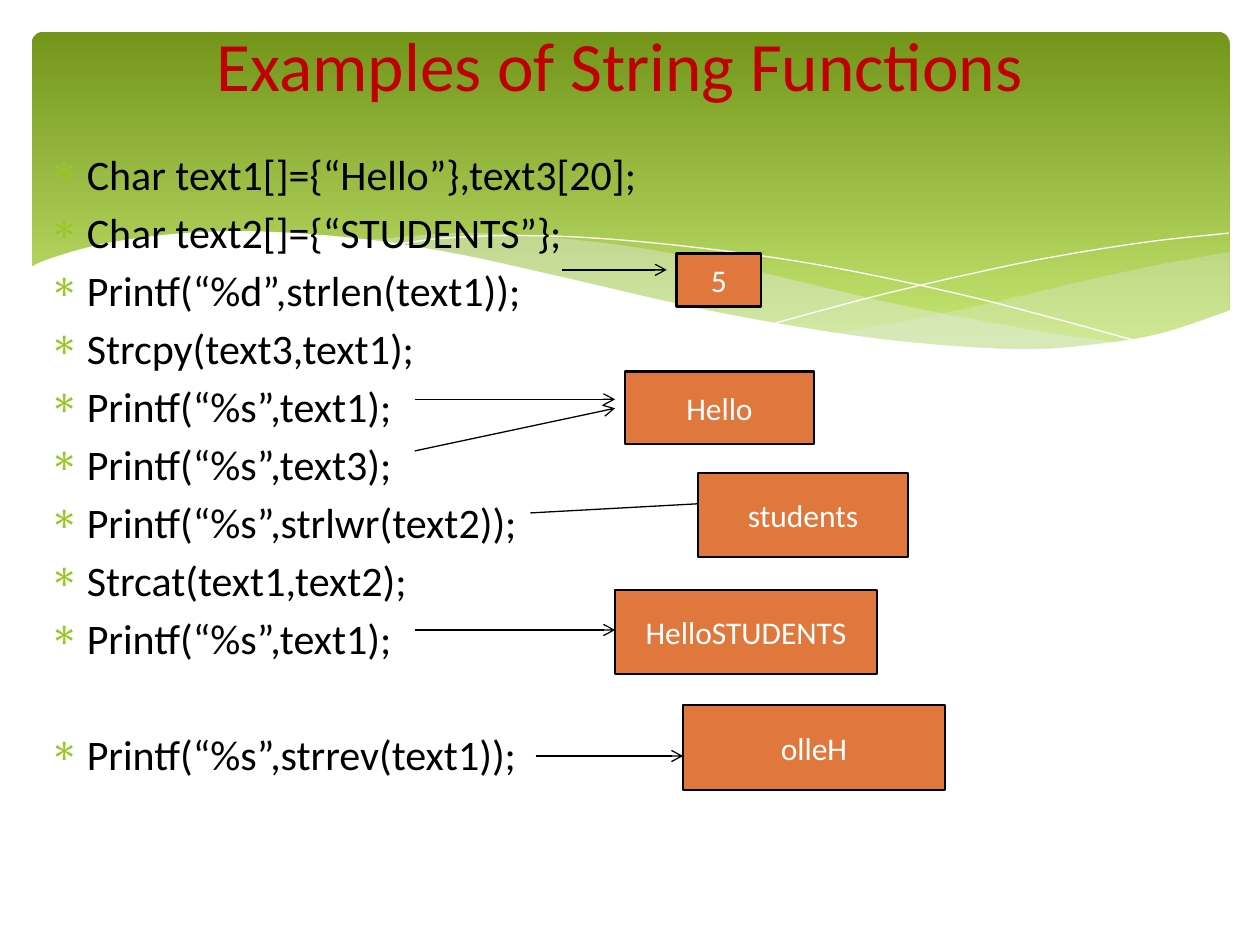
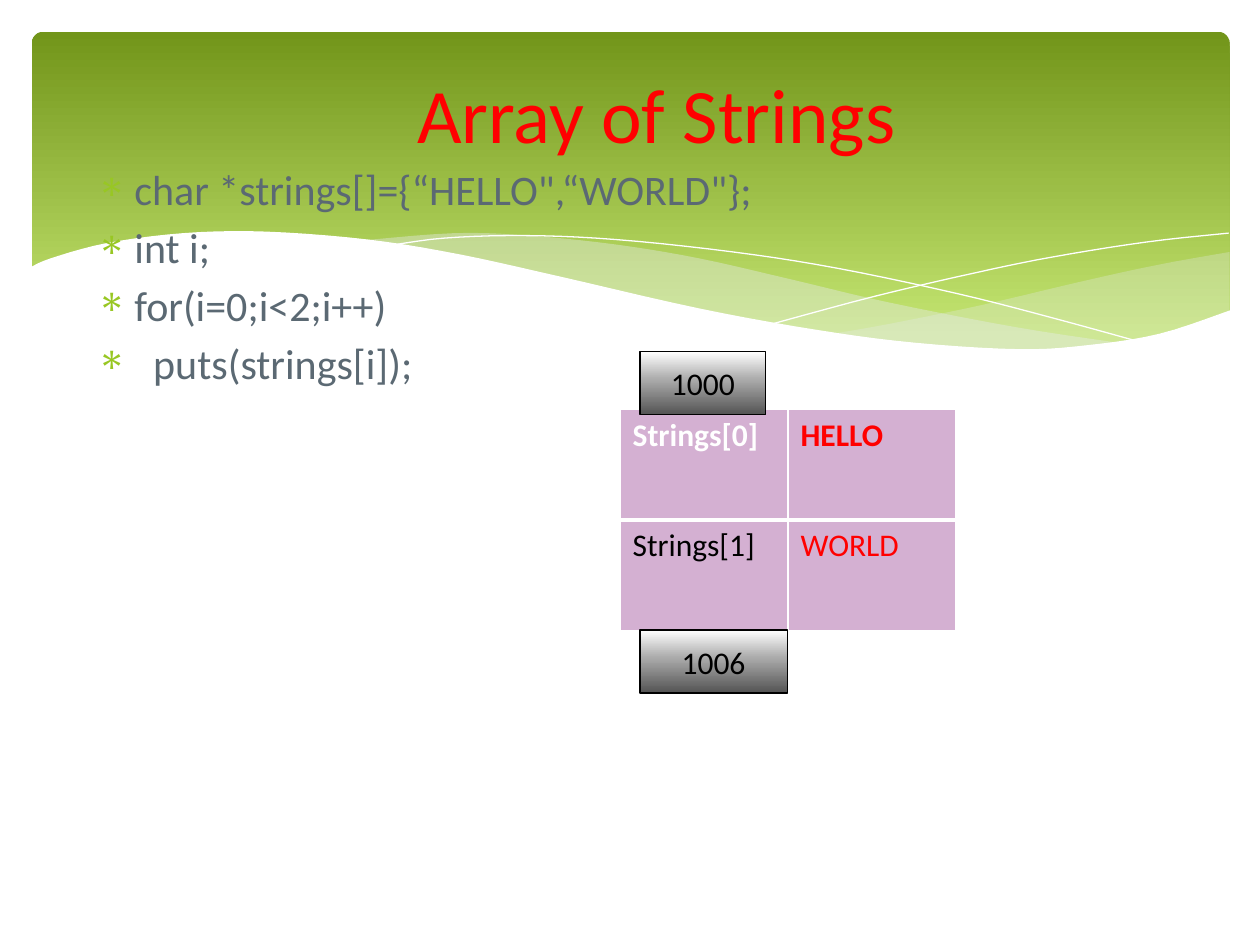
"""Build two slides on C strings under a shared green wave band."""
import lxml.etree
import pptx
import pptx.dml.color
import pptx.enum.shapes
import pptx.enum.text
import pptx.oxml.ns
import pptx.util

Cm = pptx.util.Cm
Pt = pptx.util.Pt
RGBColor = pptx.dml.color.RGBColor
qn = pptx.oxml.ns.qn

WHITE = RGBColor(0xFF, 0xFF, 0xFF)
BLACK = RGBColor(0, 0, 0)
RED = RGBColor(0xFF, 0, 0)
CRIMSON = RGBColor(0xC0, 0, 0)
MOSS = RGBColor(0x72, 0x95, 0x1A)
LIME = RGBColor(0xC5, 0xE6, 0x72)
LEAF = RGBColor(0x98, 0xC7, 0x23)
MIST = RGBColor(0xE7, 0xEC, 0xED)
SLATE = RGBColor(0x5B, 0x69, 0x73)
ORANGE = RGBColor(0xE0, 0x77, 0x3C)
LILAC = RGBColor(0xD4, 0xB0, 0xD2)
SILVER = RGBColor(0xAB, 0xAB, 0xAB)
IRON = RGBColor(0x54, 0x54, 0x54)

GREENS = [(0, MOSS), (90, LIME)]
GREYS = [(0, WHITE), (44, SILVER), (100, IRON)]

WAVE = [(24.82, 6.25), (23.37, 6.73), (21.92, 6.96), (20.55, 7.04), (18.44, 6.91),
        (16.46, 6.65), (14.1, 6.22), (11.35, 5.59), (9.27, 5.13), (7.42, 4.83),
        (5.36, 4.67), (3.71, 4.7), (2.16, 4.9), (1.02, 5.21), (0.58, 5.41)]
FLOOR = [(0.58, 8.36), (24.82, 8.36)]
RIGHT_TOP = [(24.79, 5.08), (23.39, 5.33), (21.87, 5.66), (19.79, 6.15),
             (17.93, 6.53), (16.79, 6.73)]
RIGHT_LOW = [(16.79, 6.73), (18.26, 6.91), (19.53, 7.04), (20.68, 7.06),
             (21.92, 6.99), (23.19, 6.78), (24.79, 6.27)]
LEFT_TOP = [(22.68, 6.93), (20.5, 6.6), (17.93, 6.1), (15.98, 5.64), (14.1, 5.21),
            (12.42, 4.93), (10.67, 4.75), (9.17, 4.7), (7.26, 4.85)]
LEFT_LOW = [(7.26, 4.85), (9.19, 5.16), (11.4, 5.64), (13.46, 6.1), (15.7, 6.55),
            (17.65, 6.86), (19.33, 7.04), (20.78, 7.06), (21.77, 7.04), (22.68, 6.93)]
FALL = [(7.85, 4.95), (8.97, 4.8), (10.57, 4.75), (12.42, 4.83), (14.78, 5.08),
        (16.89, 5.41), (19.3, 5.92), (21.11, 6.38), (23.04, 6.91)]
RISE = [(15.57, 6.53), (17.65, 5.97), (19.71, 5.49), (21.23, 5.18),
        (23.11, 4.88), (24.77, 4.7)]


def smooth(knots, steps=5):
    """Return points on a Catmull-Rom curve through the knots."""
    ends = [knots[0], *knots, knots[-1]]
    curve = []
    for a, b, c, d in zip(ends, ends[1:], ends[2:], ends[3:]):
        for step in range(steps):
            t = step / steps
            curve.append(tuple(
                q + t * (r - p) / 2 + t * t * (p - 2.5 * q + 2 * r - s / 2)
                + t ** 3 * (1.5 * (q - r) + (s - p) / 2)
                for p, q, r, s in zip(a, b, c, d)))
    return curve + [knots[-1]]


def add(parent, tag, **attrs):
    """Append a DrawingML child and return it."""
    return lxml.etree.SubElement(parent, qn(tag), attrs)


class Deck:
    """Hold the style and the current slide."""

    font = "Calibri"

    def __init__(self):
        """Start the deck on the title-only layout."""
        self.show = pptx.Presentation()
        self.show.slide_width, self.show.slide_height = Cm(25.4), Cm(19.05)
        self.layout = self.show.slide_layouts[5]
        self.slide = None

    def start(self, text, box, size, color):
        """Add a slide with its title."""
        self.slide = self.show.slides.add_slide(self.layout)
        title = self.slide.shapes.title
        title.left, title.top, title.width, title.height = map(Cm, box)
        frame = title.text_frame
        frame.word_wrap = True
        frame.auto_size = pptx.enum.text.MSO_AUTO_SIZE.NONE
        self.centre(frame, text, size, color)

    def put(self, para, text, size, color, bold=False):
        """Add one run to a paragraph."""
        run = para.add_run()
        run.text = text
        run.font.name, run.font.size, run.font.bold = self.font, Pt(size), bold
        run.font.color.rgb = color

    def centre(self, frame, text, size, color):
        """Set one line in the middle of a frame."""
        frame.vertical_anchor = pptx.enum.text.MSO_ANCHOR.MIDDLE
        para = frame.paragraphs[0]
        para.alignment = pptx.enum.text.PP_ALIGN.CENTER
        self.put(para, text, size, color)

    def blend(self, shape, stops):
        """Fill a shape with a gradient that runs downward."""
        shape.fill.gradient()
        shape.fill.gradient_angle = 270
        listing = shape.element.spPr.find(".//" + qn("a:gsLst"))
        for stop in list(listing):
            listing.remove(stop)
        for place, color in stops:
            stop = add(listing, "a:gs", pos=str(place * 1000))
            add(stop, "a:srgbClr", val=str(color))

    def shape(self, kind, box, fill, line=None):
        """Add a preset shape with a plain or gradient fill."""
        shape = self.slide.shapes.add_shape(kind, *map(Cm, box))
        shape.shadow.inherit = False
        if isinstance(fill, list):
            self.blend(shape, fill)
        else:
            shape.fill.solid()
            shape.fill.fore_color.rgb = fill
        if line:
            shape.line.color.rgb, shape.line.width = BLACK, Pt(line)
        else:
            shape.line.fill.background()
        return shape

    def box(self, text, box, fill, color, line):
        """Add a labelled rectangle."""
        shape = self.shape(pptx.enum.shapes.MSO_SHAPE.RECTANGLE, box, fill, line)
        self.centre(shape.text_frame, text, 18, color)

    def outline(self, points, fill=None, alpha=100):
        """Add a filled outline, or a white hairline when there is no fill."""
        spots = [(Cm(x), Cm(y)) for x, y in points]
        pen = self.slide.shapes.build_freeform(*spots[0])
        pen.add_line_segments(spots[1:], close=fill is not None)
        shape = pen.convert_to_shape()
        shape.shadow.inherit = False
        if fill is None:
            shape.fill.background()
            shape.line.color.rgb, shape.line.width = WHITE, Pt(0)
            return
        shape.fill.solid()
        shape.fill.fore_color.rgb = fill
        shape.line.fill.background()
        if alpha < 100:
            tint = shape.element.spPr.find(qn("a:solidFill")).find(qn("a:srgbClr"))
            add(tint, "a:alpha", val=str(alpha * 1000))

    def band(self):
        """Draw the band once and move it to the shared layout."""
        known = len(self.slide.shapes)
        back = self.shape(pptx.enum.shapes.MSO_SHAPE.ROUNDED_RECTANGLE,
                          (0.64, 0.64, 24.15, 6.86), GREENS)
        back.adjustments[0] = 0.034
        self.outline(smooth(RIGHT_TOP) + smooth(RIGHT_LOW), MIST, 29)
        self.outline(smooth(LEFT_TOP) + smooth(LEFT_LOW), MIST, 40)
        self.outline(smooth(FALL))
        self.outline(smooth(RISE))
        self.outline(smooth(WAVE) + FLOOR, WHITE)
        for shape in list(self.slide.shapes)[known:]:
            self.layout.shapes.element.append(shape.element)

    def bullets(self, box, rows, color):
        """Add a bulleted list of (text, space before, indent) rows."""
        frame = self.slide.shapes.add_textbox(*map(Cm, box)).text_frame
        frame.word_wrap = True
        for index, (text, space, indent) in enumerate(rows):
            para = frame.add_paragraph() if index else frame.paragraphs[0]
            para.space_before = Pt(space)
            props = para._p.get_or_add_pPr()
            props.set("marL", str(Cm(indent)))
            props.set("indent", str(-Cm(indent)))
            add(add(props, "a:buClr"), "a:srgbClr", val=str(LEAF))
            add(props, "a:buChar", char="\u2217")
            self.put(para, text, 24, color)

    def arrow(self, *ends):
        """Add an open-headed arrow."""
        line = self.slide.shapes.add_connector(
            pptx.enum.shapes.MSO_CONNECTOR.STRAIGHT, *map(Cm, ends))
        line.line.color.rgb, line.line.width = BLACK, Pt(0.75)
        props = line.element.spPr
        add(props.find(qn("a:ln")), "a:tailEnd", type="arrow")
        add(props, "a:effectLst")

    def table(self, box, rows, tones):
        """Add a table with white rules and a bold first row."""
        grid = self.slide.shapes.add_table(len(rows), len(rows[0]), *map(Cm, box)).table
        grid.horz_banding = False
        for r, row in enumerate(rows):
            for c, text in enumerate(row):
                cell = grid.cell(r, c)
                self.put(cell.text_frame.paragraphs[0], text, 18, tones[r][c], r == 0)
                widths = {"L": 1, "R": 1, "T": 3 if r == 1 else 1, "B": 3 if r == 0 else 1}
                props = cell._tc.get_or_add_tcPr()
                for side, width in widths.items():
                    rule = add(props, "a:ln" + side, w=str(Pt(width)))
                    add(add(rule, "a:solidFill"), "a:srgbClr", val=str(WHITE))
                cell.fill.solid()
                cell.fill.fore_color.rgb = LILAC


GAP = 4.3
INDENT = 0.76

deck = Deck()
deck.start("Examples of String Functions", (1.07, 0.43, 22.86, 1.7), 39.6, CRIMSON)
deck.band()
code = ["Char text1[]={“Hello”},text3[20];", "Char text2[]={“STUDENTS”};",
        "Printf(“%d”,strlen(text1));", "Strcpy(text3,text1);",
        "Printf(“%s”,text1);", "Printf(“%s”,text3);",
        "Printf(“%s”,strlwr(text2));", "Strcat(text1,text2);",
        "Printf(“%s”,text1);"]
rows = [(text, GAP, INDENT) for text in code]
rows.append(("Printf(“%s”,strrev(text1));", 37.9, INDENT))
deck.bullets((0.74, 2.87, 24.13, 14.48), rows, BLACK)
for ends in [(11.33, 5.44, 13.44, 5.44), (8.36, 8.05, 12.4, 8.05),
             (8.36, 9.09, 12.4, 8.23), (10.69, 10.34, 14.91, 10.11),
             (8.36, 12.7, 12.4, 12.7), (10.8, 15.24, 13.77, 15.24)]:
    deck.arrow(*ends)
for text, place in [("5", (13.64, 5.11, 1.7, 1.07)),
                    ("Hello", (12.6, 7.49, 3.81, 1.47)),
                    ("students", (14.07, 9.53, 4.24, 1.7)),
                    ("HelloSTUDENTS", (12.4, 11.89, 5.28, 1.7)),
                    ("olleH", (13.77, 14.22, 5.28, 1.7))]:
    deck.box(text, place, ORANGE, WHITE, 1.25)

deck.start("Array of Strings", (1.27, 0.94, 23.93, 2.67), 44, RED)
code = ["char *strings[]={“HELLO\",“WORLD\"};", "int i;", "for(i=0;i<2;i++)"]
rows = [(text, GAP, INDENT) for text in code]
rows.append(("puts(strings[i]);", GAP, INDENT + 0.38))
deck.bullets((1.7, 3.18, 23.06, 13.84), rows, SLATE)
deck.table((12.5, 8.26, 6.77, 4.45),
           [("Strings[0]", "HELLO"), ("Strings[1]", "WORLD")],
           [(WHITE, RED), (BLACK, RED)])
deck.box("1000", (12.9, 7.09, 2.54, 1.27), GREYS, BLACK, 0.75)
deck.box("1006", (12.9, 12.7, 2.97, 1.27), GREYS, BLACK, 0.75)

deck.show.save("out.pptx")
